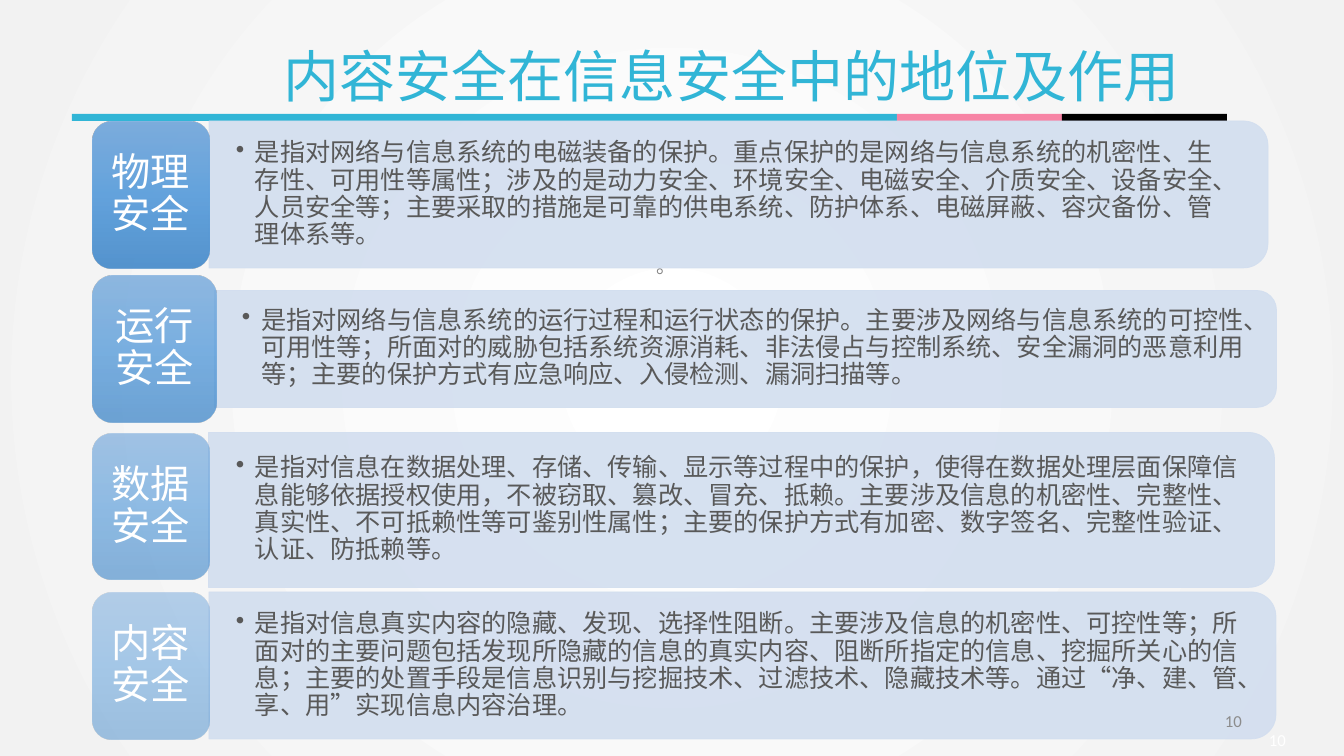
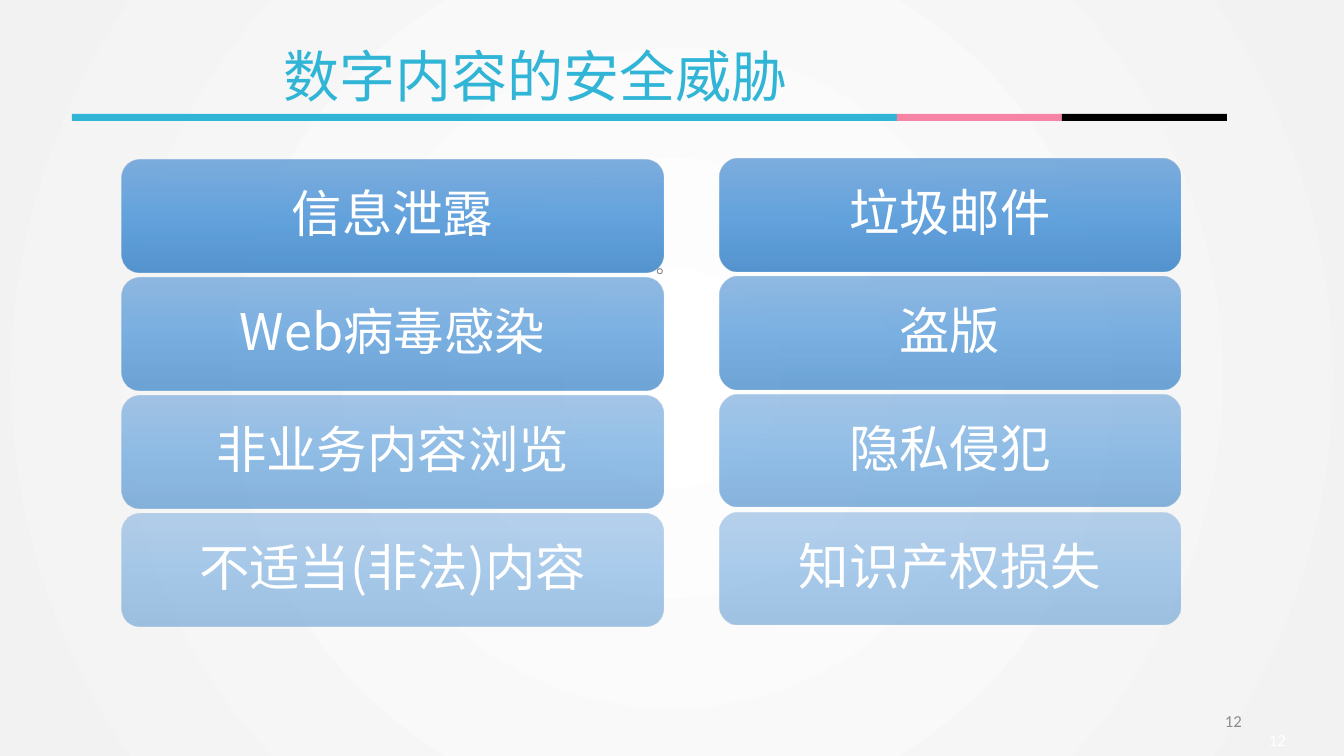
"""Builds two slides on content security: its place in information security and its threats."""
from dataclasses import dataclass
from typing import Optional

from lxml import etree
from pptx import Presentation
from pptx import util as u
from pptx.dml.color import RGBColor
from pptx.enum import shapes, text
from pptx.oxml.ns import qn

EMU_PER_PX = 914400 / 100.8
CJK, LATIN = "Noto Sans CJK SC", "Calibri"

WHITE = RGBColor(0xFF, 0xFF, 0xFF)
BLACK = RGBColor(0x00, 0x00, 0x00)
EDGE = RGBColor(0xF2, 0xF2, 0xF2)
CYAN = RGBColor(0x31, 0xB5, 0xD6)
PINK = RGBColor(0xF7, 0x84, 0xA5)
PALE_BLUE = RGBColor(0xD2, 0xDE, 0xEF)
BODY_GREY = RGBColor(0x59, 0x59, 0x59)
MID_GREY = RGBColor(0x7F, 0x7F, 0x7F)
PAGE_GREY = RGBColor(0x8C, 0x8C, 0x8C)
CARD_STOPS = [
    (0, RGBColor(0x71, 0xA6, 0xDB)),
    (50, RGBColor(0x55, 0x9B, 0xDB)),
    (100, RGBColor(0x44, 0x8A, 0xCA)),
]
CARD_OPACITY = [90, 77, 63, 50]
RULE_COLOURS = [CYAN] * 5 + [PINK, BLACK]


@dataclass(frozen=True)
class Box:
    left: int
    top: int
    width: int
    height: int


@dataclass(frozen=True)
class TextStyle:
    size: int
    colour: RGBColor
    font: str = CJK
    align: text.PP_ALIGN = text.PP_ALIGN.LEFT
    anchor: text.MSO_ANCHOR = text.MSO_ANCHOR.MIDDLE
    spacing: float = 0.9
    inset_x: int = 10
    inset_y: int = 5
    hanging: int = 0


@dataclass(frozen=True)
class Layer:
    name: str
    card: Box
    bar: Box
    description: str


@dataclass(frozen=True)
class ThreatColumn:
    first: Box
    threats: list[str]


TITLE = TextStyle(40, CYAN, spacing=1.0)
CARD_NAME = TextStyle(28, WHITE, align=text.PP_ALIGN.CENTER, inset_x=11, inset_y=6)
THREAT = TextStyle(36, WHITE, align=text.PP_ALIGN.CENTER, inset_x=15, inset_y=7)
DESCRIPTION = TextStyle(18, BODY_GREY, inset_x=27, inset_y=14, hanging=19)
FULL_STOP = TextStyle(14, MID_GREY, anchor=text.MSO_ANCHOR.TOP)
PAGE = TextStyle(12, PAGE_GREY, LATIN, text.PP_ALIGN.RIGHT, spacing=1.0)
PAGE_WHITE = TextStyle(12, WHITE, LATIN, text.PP_ALIGN.RIGHT, spacing=1.0)

LAYERS = [
    Layer("物理安全", Box(93, 122, 116, 146), Box(209, 121, 1059, 147),
          "是指对网络与信息系统的电磁装备的保护。重点保护的是网络与信息系统的机密性、生存性、可用性等属性；"
          "涉及的是动力安全、环境安全、电磁安全、介质安全、设备安全、人员安全等；"
          "主要采取的措施是可靠的供电系统、防护体系、电磁屏蔽、容灾备份、管理体系等。"),
    Layer("运行安全", Box(93, 276, 123, 146), Box(215, 290, 1062, 117),
          "是指对网络与信息系统的运行过程和运行状态的保护。主要涉及网络与信息系统的可控性、可用性等；"
          "所面对的威胁包括系统资源消耗、非法侵占与控制系统、安全漏洞的恶意利用等；"
          "主要的保护方式有应急响应、入侵检测、漏洞扫描等。"),
    Layer("数据安全", Box(93, 434, 116, 146), Box(209, 432, 1066, 155),
          "是指对信息在数据处理、存储、传输、显示等过程中的保护，使得在数据处理层面保障信息能够依据授权使用，"
          "不被窃取、篡改、冒充、抵赖。主要涉及信息的机密性、完整性、真实性、不可抵赖性等可鉴别性属性；"
          "主要的保护方式有加密、数字签名、完整性验证、认证、防抵赖等。"),
    Layer("内容安全", Box(93, 593, 116, 146), Box(209, 592, 1067, 147),
          "是指对信息真实内容的隐藏、发现、选择性阻断。主要涉及信息的机密性、可控性等；"
          "所面对的主要问题包括发现所隐藏的信息的真实内容、阻断所指定的信息、挖掘所关心的信息；"
          "主要的处置手段是信息识别与挖掘技术、过滤技术、隐藏技术等。"
          "通过“净、建、管、享、用”实现信息内容治理。"),
]
THREAT_PITCH = 118
THREAT_COLUMNS = [
    ThreatColumn(Box(122, 160, 541, 112), ["信息泄露", "Web病毒感染", "非业务内容浏览", "不适当(非法)内容"]),
    ThreatColumn(Box(720, 159, 460, 112), ["垃圾邮件", "盗版", "隐私侵犯", "知识产权损失"]),
]


def px(length: float) -> u.Emu:
    return u.Emu(round(length * EMU_PER_PX))


def bounds(box: Box) -> tuple:
    return px(box.left), px(box.top), px(box.width), px(box.height)


def add_alpha(colour_element, percent: int) -> None:
    etree.SubElement(colour_element, qn("a:alpha")).set("val", str(percent * 1000))


def paint_gradient(fill, owner, stops: list, opacity: int = 100, radial: bool = False) -> None:
    fill.gradient()
    gradient = owner.find(".//" + qn("a:gradFill"))
    for child in list(gradient):
        gradient.remove(child)
    stop_list = etree.SubElement(gradient, qn("a:gsLst"))
    for position, colour in stops:
        stop = etree.SubElement(stop_list, qn("a:gs"), pos=str(position * 1000))
        colour_element = etree.SubElement(stop, qn("a:srgbClr"), val=str(colour))
        if opacity < 100:
            add_alpha(colour_element, opacity)
    if radial:
        circle = etree.SubElement(gradient, qn("a:path"), path="circle")
        centre = {side: "50000" for side in "ltrb"}
        etree.SubElement(circle, qn("a:fillToRect"), **centre)
    else:
        etree.SubElement(gradient, qn("a:lin"), ang="5400000", scaled="0")


def write(frame, words: str, style: TextStyle) -> None:
    frame.word_wrap = True
    frame.auto_size = text.MSO_AUTO_SIZE.NONE
    frame.vertical_anchor = style.anchor
    frame.margin_left = frame.margin_right = px(style.inset_x)
    frame.margin_top = frame.margin_bottom = px(style.inset_y)
    paragraph = frame.paragraphs[0]
    paragraph.alignment = style.align
    paragraph.line_spacing = style.spacing
    if style.hanging:
        properties = paragraph._p.get_or_add_pPr()
        properties.set("marL", str(px(style.hanging)))
        properties.set("indent", str(-px(style.hanging)))
        etree.SubElement(properties, qn("a:buChar"), char="•")
    run = paragraph.add_run()
    run.text = words
    run.font.size = u.Pt(style.size)
    run.font.name = style.font
    run.font.color.rgb = style.colour
    etree.SubElement(run._r.get_or_add_rPr(), qn("a:ea"), typeface=style.font)


def add_text(slide, box: Box, words: str, style: TextStyle) -> None:
    write(slide.shapes.add_textbox(*bounds(box)).text_frame, words, style)


def add_plain(slide, kind: shapes.MSO_SHAPE, box: Box, colour: Optional[RGBColor] = None):
    shape = slide.shapes.add_shape(kind, *bounds(box))
    shape.shadow.inherit = False
    shape.line.fill.background()
    if colour is not None:
        shape.fill.solid()
        shape.fill.fore_color.rgb = colour
    return shape


def add_card(slide, box: Box, words: str, style: TextStyle, opacity: int) -> None:
    card = add_plain(slide, shapes.MSO_SHAPE.ROUNDED_RECTANGLE, box)
    paint_gradient(card.fill, card.element, CARD_STOPS, opacity)
    write(card.text_frame, words, style)


def add_bar(slide, box: Box) -> None:
    shift = (box.width - box.height) // 2
    upright = Box(box.left + shift, box.top - shift, box.height, box.width)
    bar = add_plain(slide, shapes.MSO_SHAPE.ROUND_2_SAME_RECTANGLE, upright, PALE_BLUE)
    bar.rotation = 90
    bar.line.color.rgb = PALE_BLUE
    bar.line.width = u.Pt(0.5)
    for colour_element in bar.element.spPr.iter(qn("a:srgbClr")):
        add_alpha(colour_element, 90)


def start_slide(prs, heading: str, page: str):
    slide = prs.slides.add_slide(prs.slide_layouts[5])
    title = slide.shapes.title
    title.left, title.top, title.width, title.height = bounds(Box(274, 32, 926, 87))
    write(title.text_frame, heading, TITLE)
    add_text(slide, Box(647, 252, 517, 427), "。", FULL_STOP)
    for index, colour in enumerate(RULE_COLOURS):
        add_plain(slide, shapes.MSO_SHAPE.RECTANGLE, Box(72 + 165 * index, 114, 165, 7), colour)
    add_text(slide, Box(1196, 720, 100, 40), page, PAGE_WHITE)
    return slide


def add_page_number(slide, page: str) -> None:
    add_text(slide, Box(950, 701, 302, 40), page, PAGE)


def build_layers(prs) -> None:
    slide = start_slide(prs, "内容安全在信息安全中的地位及作用", "10")
    for layer, opacity in zip(LAYERS, CARD_OPACITY):
        bar = layer.bar
        add_bar(slide, bar)
        add_text(slide, Box(bar.left, bar.top, bar.width - 5, bar.height), layer.description, DESCRIPTION)
        add_card(slide, layer.card, layer.name, CARD_NAME, opacity)
    add_page_number(slide, "10")


def build_threats(prs) -> None:
    slide = start_slide(prs, "数字内容的安全威胁", "12")
    for column in THREAT_COLUMNS:
        first = column.first
        for index, (threat, opacity) in enumerate(zip(column.threats, CARD_OPACITY)):
            box = Box(first.left, first.top + THREAT_PITCH * index, first.width, first.height)
            add_card(slide, box, threat, THREAT, opacity)
    add_page_number(slide, "12")


def main() -> None:
    prs = Presentation()
    prs.slide_width, prs.slide_height = px(1344), px(756)
    master = prs.slide_master
    paint_gradient(master.background.fill, master.element, [(0, WHITE), (100, EDGE)], radial=True)
    build_layers(prs)
    build_threats(prs)
    prs.save("out.pptx")


if __name__ == "__main__":
    main()
